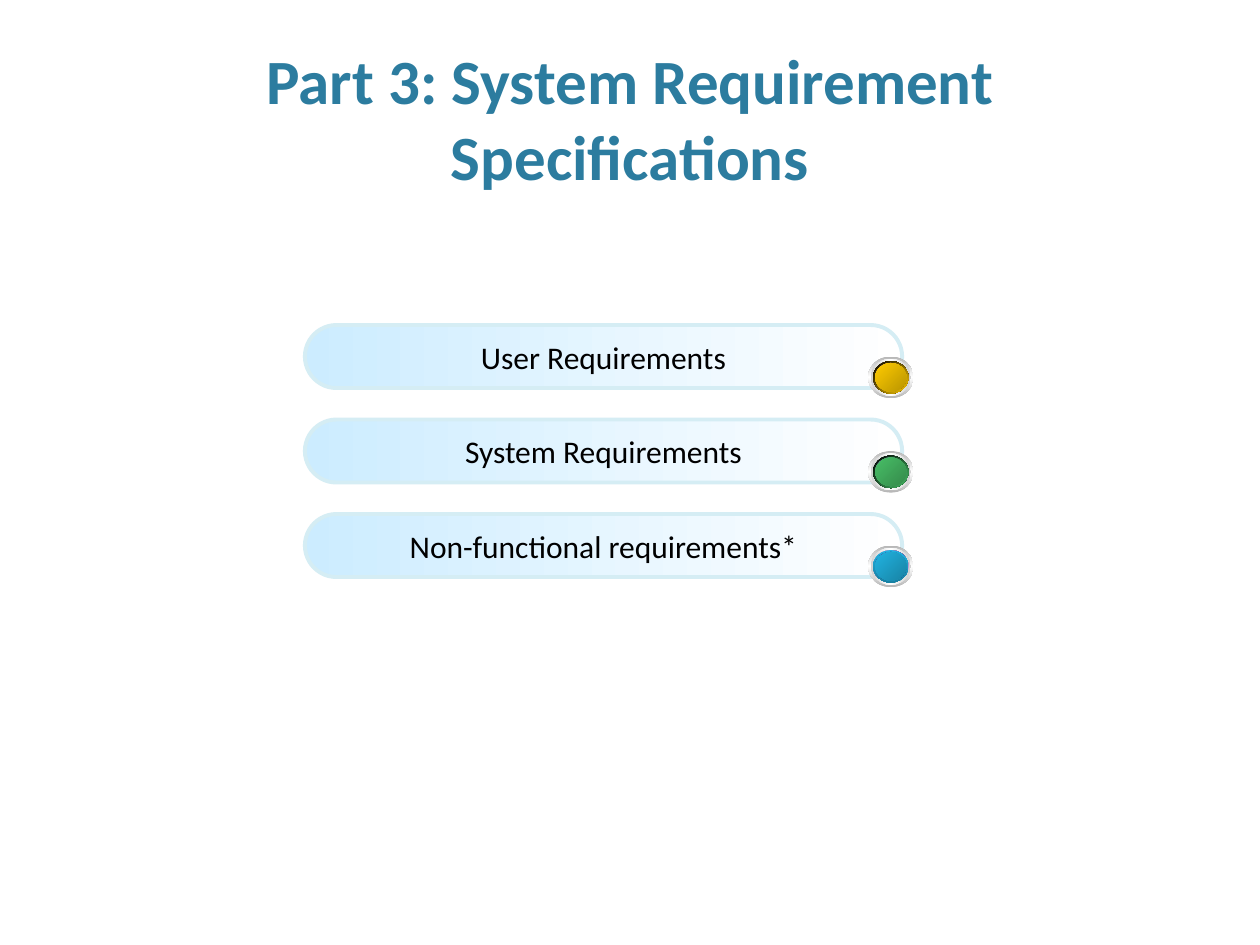
import lxml.etree
import pptx
import pptx.dml.color
import pptx.enum.shapes
import pptx.enum.text
import pptx.oxml.ns
import pptx.util

RGB = pptx.dml.color.RGBColor
SHAPES = pptx.enum.shapes.MSO_SHAPE
ANCHOR = pptx.enum.text.MSO_ANCHOR
CENTER = pptx.enum.text.PP_ALIGN.CENTER
qn = pptx.oxml.ns.qn

FONT = "Calibri"
TEAL = RGB(0x2C, 0x7C, 0x9F)
BLACK = RGB(0x00, 0x00, 0x00)
WHITE = RGB(0xFF, 0xFF, 0xFF)
SKY = RGB(0xCC, 0xEC, 0xFF)
PALE_TEAL = RGB(0xD5, 0xED, 0xF4)
GREY = RGB(0xB6, 0xB6, 0xB6)
SILVER = RGB(0xD1, 0xD1, 0xD1)
PURPLE = RGB(0x70, 0x30, 0xA0)
DARK_PURPLE = RGB(0x56, 0x25, 0x7B)
GOLD, DARK_GOLD = RGB(0xFF, 0xCC, 0x00), RGB(0xBA, 0x95, 0x00)
GREEN, DARK_GREEN = RGB(0x48, 0xBE, 0x67), RGB(0x35, 0x8B, 0x4B)
BLUE, DARK_BLUE = RGB(0x21, 0xB3, 0xE1), RGB(0x18, 0x83, 0xA4)
RIM_BLUE = RGB(0x18, 0x80, 0xA1)

# Slide, title and list geometry in inches
SLIDE_WIDTH, SLIDE_HEIGHT = 10, 7.5
TITLE_BOX = (0.6, 0.12, 8.8, 1.46)
LIST_BOX = (2.42, 2.58, 4.74, 2.0)
BAR_SHARE = 0.25  # bar height as a share of the list height
BADGE_WIDTH, BADGE_HEIGHT = 0.36, 0.33
BADGE_OVERLAP_X, BADGE_OVERLAP_Y = 0.27, 0.25

# Label, button colours, and gradient of the rim around the button
ITEMS = [
    ("User Requirements", (GOLD, DARK_GOLD), (BLACK, GOLD), 45),
    ("System Requirements", (GREEN, DARK_GREEN), (BLACK, GREEN), 45),
    ("Non-functional requirements*", (BLUE, DARK_BLUE), (BLUE, RIM_BLUE), 90),
]


def inches(box):
    return [pptx.util.Inches(length) for length in box]


def set_gradient(shape, colors, angle):
    """Fill with evenly spaced colours; the angle runs clockwise in degrees."""
    shape.fill.gradient()
    gradient = shape._element.spPr.find(qn("a:gradFill"))
    stops = gradient.find(qn("a:gsLst"))
    for stop in list(stops):
        stops.remove(stop)
    for index, color in enumerate(colors):
        position = 100000 * index // (len(colors) - 1)
        stop = lxml.etree.SubElement(stops, qn("a:gs"), pos=str(position))
        lxml.etree.SubElement(stop, qn("a:srgbClr"), val=str(color))
    gradient.find(qn("a:lin")).set("ang", str(angle * 60000))


def format_text(paragraph, size, color, bold=False):
    paragraph.alignment = CENTER
    for run in paragraph.runs:
        run.font.name = FONT
        run.font.size = pptx.util.Pt(size)
        run.font.bold = bold
        run.font.color.rgb = color


def place_title(slide, box, text):
    title = slide.shapes.title
    title.left, title.top, title.width, title.height = inches(box)
    title.text_frame.text = text
    title.text_frame.word_wrap = True
    title.text_frame.vertical_anchor = ANCHOR.BOTTOM
    format_text(title.text_frame.paragraphs[0], 36, TEAL, bold=True)


def add_bar(slide, box, label):
    bar = slide.shapes.add_shape(SHAPES.ROUNDED_RECTANGLE, *inches(box))
    bar.adjustments[0] = 0.5
    bar.shadow.inherit = False
    set_gradient(bar, (SKY, WHITE), 0)
    bar.line.color.rgb = PALE_TEAL
    bar.line.width = pptx.util.Pt(2.25)
    bar.text_frame.text = label
    bar.text_frame.word_wrap = False
    bar.text_frame.vertical_anchor = ANCHOR.MIDDLE
    format_text(bar.text_frame.paragraphs[0], 18, BLACK)


def add_badge(slide, box, button_colors, rim_colors, rim_angle):
    """Stack concentric discs, each a share of the badge's box."""
    left, top, width, height = box
    discs = [
        (1, (GREY, WHITE, GREY), 90),
        (0.89, (SILVER, WHITE, SILVER), 0),
        (0.78, (WHITE, PURPLE, WHITE), 45),
        (0.78, rim_colors, rim_angle),
        (0.69, (DARK_PURPLE, PURPLE, DARK_PURPLE), 315),
        (0.69, button_colors, 45),
    ]
    group = slide.shapes.add_group_shape()
    for share, colors, angle in discs:
        margin = (1 - share) / 2
        disc_box = (left + margin * width, top + margin * height,
                    share * width, share * height)
        disc = group.shapes.add_shape(SHAPES.OVAL, *inches(disc_box))
        disc.shadow.inherit = False
        disc.line.fill.background()
        set_gradient(disc, colors, angle)


def place_list(slide, box, items):
    left, top, width, height = box
    bar_height = BAR_SHARE * height
    pitch = (height - bar_height) / (len(items) - 1)
    for index, (label, button_colors, rim_colors, rim_angle) in enumerate(items):
        bar_top = top + index * pitch
        add_bar(slide, (left, bar_top, width, bar_height), label)
        badge_box = (left + width - BADGE_OVERLAP_X,
                     bar_top + bar_height - BADGE_OVERLAP_Y,
                     BADGE_WIDTH, BADGE_HEIGHT)
        add_badge(slide, badge_box, button_colors, rim_colors, rim_angle)


def main():
    presentation = pptx.Presentation()
    presentation.slide_width = pptx.util.Inches(SLIDE_WIDTH)
    presentation.slide_height = pptx.util.Inches(SLIDE_HEIGHT)
    slide = presentation.slides.add_slide(presentation.slide_layouts[5])
    place_title(slide, TITLE_BOX, "Part 3: System Requirement Specifications")
    place_list(slide, LIST_BOX, ITEMS)
    presentation.save("out.pptx")


if __name__ == "__main__":
    main()
